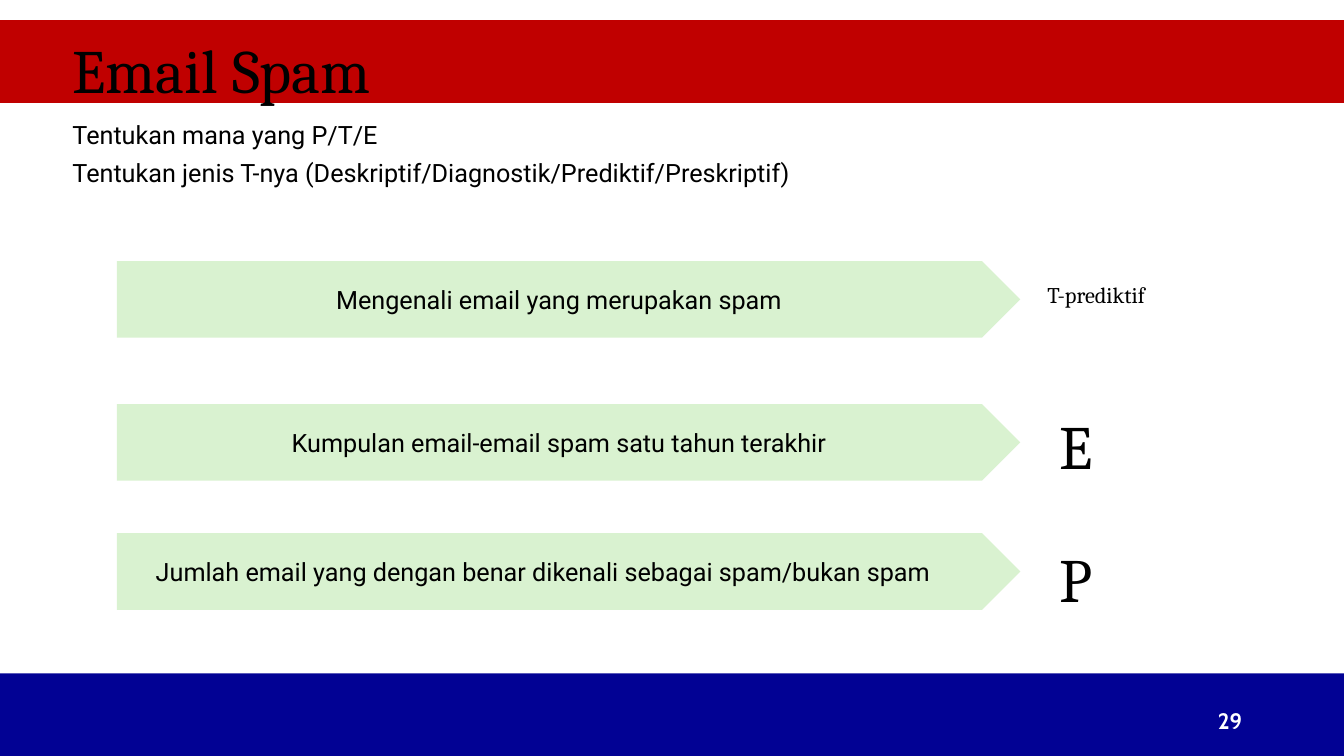
from pptx import Presentation
from pptx.dml.color import RGBColor
from pptx.enum.shapes import MSO_SHAPE
from pptx.enum.text import MSO_ANCHOR, PP_ALIGN
from pptx.util import Inches, Pt

RECT, PENTAGON = MSO_SHAPE.RECTANGLE, MSO_SHAPE.PENTAGON
TOP, MIDDLE = MSO_ANCHOR.TOP, MSO_ANCHOR.MIDDLE
LEFT, CENTER, RIGHT = PP_ALIGN.LEFT, PP_ALIGN.CENTER, PP_ALIGN.RIGHT

RED = RGBColor(0xC0, 0x00, 0x00)
NAVY = RGBColor(0x02, 0x02, 0x94)
GREEN = RGBColor(0xD9, 0xF2, 0xD0)
BLACK = RGBColor(0x00, 0x00, 0x00)
WHITE = RGBColor(0xFF, 0xFF, 0xFF)

WIDTH, HEIGHT = 13.33, 7.5
BAND_H = 0.82
MARGIN = 0.62
HEADING_H = 1.45


class SlideBuilder:
    heading_font, body_font, number_font = "Cambria", "Roboto", "Cabin"

    def __init__(self, prs):
        self.s = prs.slides.add_slide(prs.slide_layouts[6])

    def set_text(self, sp, text, font, size, color=BLACK, align=LEFT,
                 anchor=MIDDLE, bold=False, line_spacing=None):
        tf = sp.text_frame
        tf.word_wrap = True
        tf.vertical_anchor = anchor
        p = tf.paragraphs[0]
        p.alignment = align
        if line_spacing:
            p.line_spacing = line_spacing
        r = p.add_run()
        r.text = text
        r.font.name = font
        r.font.size = Pt(size)
        r.font.bold = bold
        r.font.color.rgb = color

    def box(self, x, y, w, h):
        return self.s.shapes.add_textbox(Inches(x), Inches(y), Inches(w), Inches(h))

    def shape(self, kind, x, y, w, h, fill):
        sp = self.s.shapes.add_shape(kind, Inches(x), Inches(y), Inches(w), Inches(h))
        sp.shadow.inherit = False
        sp.fill.solid()
        sp.fill.fore_color.rgb = fill
        sp.line.fill.background()
        return sp

    def band(self, y, fill):
        self.shape(RECT, 0, y, WIDTH, BAND_H, fill)

    def heading(self, text, x, y, w, size=44):
        self.set_text(self.box(x, y, w, HEADING_H), text, self.heading_font, size,
                      line_spacing=0.9)

    def instruction(self, text, y, w):
        self.set_text(self.box(MARGIN, y, w, 0.4), text, self.body_font, 18, anchor=TOP)

    def statement(self, text, y):
        sp = self.shape(PENTAGON, 1.16, y, 8.96, 0.76, GREEN)
        self.set_text(sp, text, self.body_font, 18, align=CENTER)

    def page_number(self, text):
        self.set_text(self.box(9.42, 6.95, 3, 0.4), text, self.number_font, 16,
                      WHITE, RIGHT, bold=True)


def main():
    prs = Presentation()
    prs.slide_width, prs.slide_height = Inches(WIDTH), Inches(HEIGHT)
    slide = SlideBuilder(prs)

    slide.band(HEIGHT - BAND_H, NAVY)
    slide.band(0.2, RED)
    slide.page_number("29")
    slide.heading("Email Spam", MARGIN, 0, 11.5)
    slide.instruction("Tentukan mana yang P/T/E", 1.13, 5.49)
    slide.instruction(
        "Tentukan jenis T-nya (Deskriptif/Diagnostik/Prediktif/Preskriptif)", 1.51, 7.48)

    # statement, its top, answer, answer left, answer top, answer size
    rows = [
        ("Mengenali email yang merupakan spam", 2.59, "T-prediktif", 10.29, 2.21, 16),
        ("Kumpulan email-email spam satu tahun terakhir", 4.01, "E", 10.41, 3.73, 44),
        ("Jumlah email yang dengan benar dikenali sebagai spam/bukan spam\t", 5.29,
         "P", 10.41, 5.05, 44),
    ]
    for text, y, answer, answer_x, answer_y, size in rows:
        slide.statement(text, y)
        slide.heading(answer, answer_x, answer_y, 2.52, size)

    prs.save("out.pptx")


if __name__ == "__main__":
    main()
